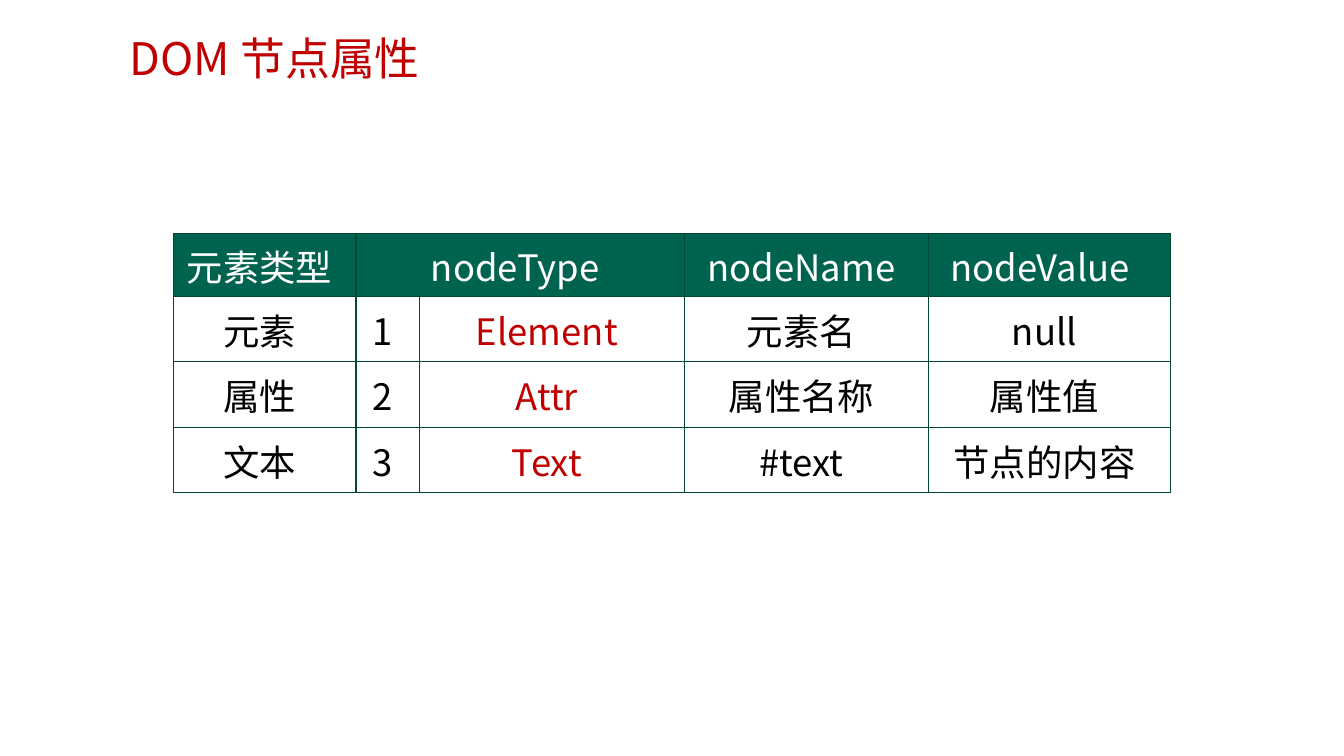
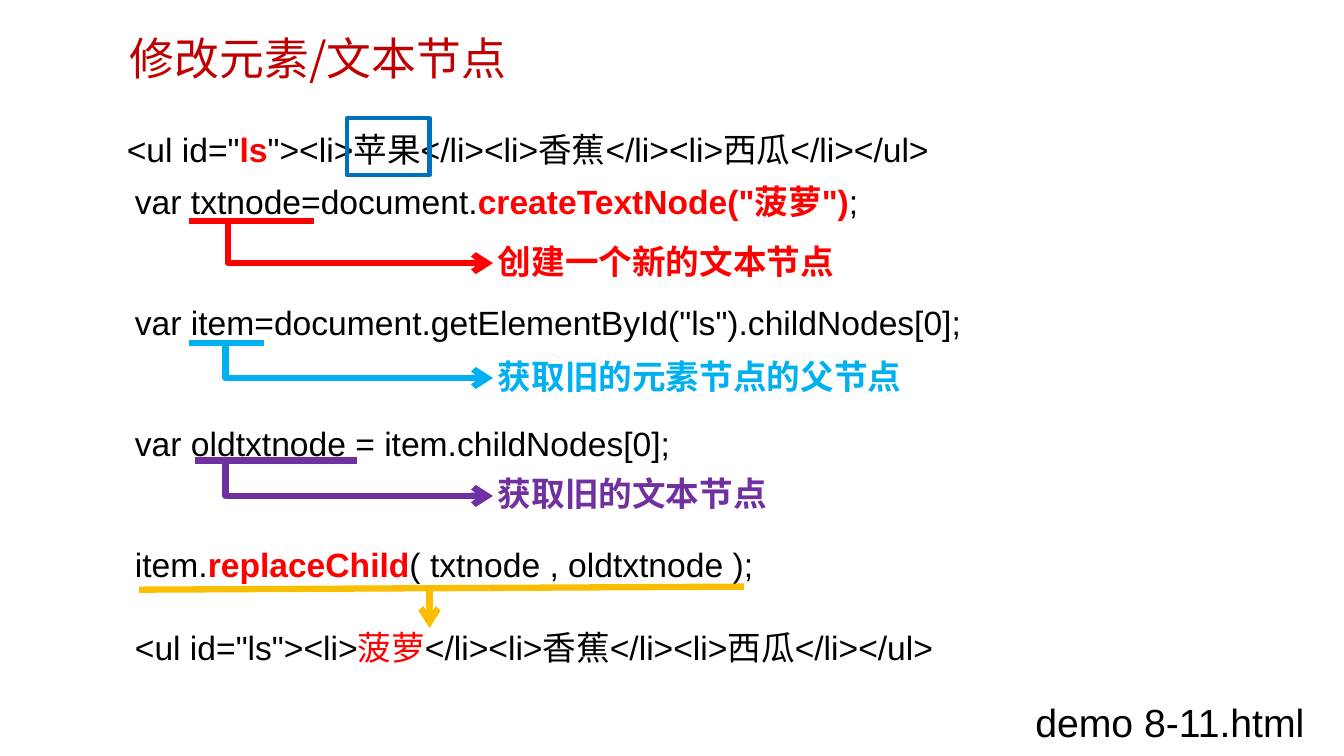
from dataclasses import dataclass
from typing import Any, NamedTuple, Optional

import lxml.etree
import pptx
import pptx.dml.color
import pptx.enum.shapes
import pptx.enum.text
import pptx.oxml.ns
import pptx.util

Inches = pptx.util.Inches
Pt = pptx.util.Pt
qn = pptx.oxml.ns.qn
CONNECTOR = pptx.enum.shapes.MSO_CONNECTOR
RECTANGLE = pptx.enum.shapes.MSO_SHAPE.RECTANGLE
CENTER = pptx.enum.text.PP_ALIGN.CENTER
MIDDLE = pptx.enum.text.MSO_ANCHOR.MIDDLE


@dataclass(frozen=True)
class Theme:
    heading: str = "C00000"
    text: str = "000000"
    white: str = "FFFFFF"
    table_header: str = "00634F"
    table_border: str = "024731"
    red: str = "FF0000"
    cyan: str = "00B0F0"
    blue: str = "0070C0"
    purple: str = "7030A0"
    yellow: str = "FABE00"
    heading_font: str = "Noto Sans CJK SC"
    code_font: str = "Arial"
    title_size: float = 32
    demo_size: float = 28
    table_size: float = 26
    code_size: float = 24
    arrow_width: float = 4.5
    frame_width: float = 3
    border_width: float = 1


THEME = Theme()


class Box(NamedTuple):
    left: float
    top: float
    width: float
    height: float


class Point(NamedTuple):
    x: float
    y: float


class Span(NamedTuple):
    text: str
    color: str = THEME.text
    bold: bool = False


class Callout(NamedTuple):
    text: str
    color: str
    underline_left: float
    underline_right: float
    underline_top: float
    arrow_top: float
    bend: float
    label_top: float


Line = list[Span]
TITLE_BOX = Box(1.19, 0.26, 8.96, 0.54)
CODE_SPACING = {"line_spacing": 1.5, "space_after": Pt(43.2)}

TABLE_BOX = Box(1.72, 2.32, 9.89, 2.57)
COLUMN_WIDTHS = [1.81, 0.63, 2.63, 2.42, 2.4]
ROW_HEIGHTS = [0.62, 0.65, 0.65, 0.65]
NODE_ROWS = [
    ["元素类型", "nodeType", "", "nodeName", "nodeValue "],
    ["元素", "1", "Element", "元素名", "null"],
    ["属性", "2", "Attr", "属性名称", "属性值"],
    ["文本", "3", "Text", "#text", "节点的内容"],
]
TYPE_NAME_COLUMN = 2

LIST_BEFORE = [
    Span('<ul id="'), Span("ls", THEME.red, True),
    Span('"><li>苹果</li><li>香蕉</li><li>西瓜</li></ul>'),
]
LIST_AFTER = [
    Span('<ul id="ls"><li>'), Span("菠萝", THEME.red),
    Span("</li><li>香蕉</li><li>西瓜</li></ul>"),
]
CODE_LINES = [
    [Span("var txtnode=document."),
     Span('createTextNode("菠萝")', THEME.red, True), Span(";")],
    [Span('var item=document.getElementById("ls").childNodes[0];')],
    [Span("var oldtxtnode = item.childNodes[0];")],
    [Span("item."), Span("replaceChild", THEME.red, True),
     Span("( txtnode , oldtxtnode );")],
]
CALLOUTS = [
    Callout("创建一个新的文本节点", THEME.red, 1.87, 3.11, 2.19, 2.61, 0.011, 2.34),
    Callout("获取旧的元素节点的父节点", THEME.cyan, 1.87, 2.62, 3.4, 3.75, 0.003, 3.48),
    Callout("获取旧的文本节点", THEME.purple, 1.93, 3.54, 4.57, 4.92, 0.003, 4.64),
]


def rgb(color: str) -> pptx.dml.color.RGBColor:
    return pptx.dml.color.RGBColor.from_string(color)


def apply_format(target: Any, values: dict[str, Any]) -> None:
    for name, value in values.items():
        setattr(target, name, value)


def lengths(box: Box) -> list[int]:
    return [Inches(value) for value in box]


def write_line(paragraph: Any, line: Line, font_name: str, size: float) -> None:
    for span in line:
        run = paragraph.add_run()
        run.text = span.text
        apply_format(run.font, {"name": font_name, "size": Pt(size), "bold": span.bold})
        run.font.color.rgb = rgb(span.color)
        if font_name == THEME.heading_font:
            properties = run._r.get_or_add_rPr()
            lxml.etree.SubElement(properties, qn("a:ea"), typeface=font_name)


def add_text(slide: Any, box: Box, lines: list[Line], font_name: str, size: float,
             spacing: Optional[dict[str, Any]] = None, wrap: bool = True) -> Any:
    shape = slide.shapes.add_textbox(*lengths(box))
    frame = shape.text_frame
    frame.word_wrap = wrap
    for index, line in enumerate(lines):
        paragraph = frame.add_paragraph() if index else frame.paragraphs[0]
        apply_format(paragraph, spacing or {})
        write_line(paragraph, line, font_name, size)
    return shape


def add_heading(slide: Any, box: Box, span: Span, size: float) -> None:
    add_text(slide, box, [[span]], THEME.heading_font, size)


def add_line(slide: Any, start: Point, end: Point, color: str, arrow: bool = False,
             bend: Optional[float] = None) -> None:
    kind = CONNECTOR.STRAIGHT if bend is None else CONNECTOR.ELBOW
    connector = slide.shapes.add_connector(
        kind, *[Inches(value) for value in (*start, *end)])
    connector.line.width = Pt(THEME.arrow_width)
    connector.line.color.rgb = rgb(color)
    properties = connector._element.spPr
    if bend is not None:
        adjustments = properties.find(qn("a:prstGeom")).get_or_add_avLst()
        lxml.etree.SubElement(adjustments, qn("a:gd"), name="adj1",
                              fmla=f"val {round(bend * 100000)}")
    if arrow:
        lxml.etree.SubElement(properties.find(qn("a:ln")), qn("a:tailEnd"), type="arrow")
    lxml.etree.SubElement(properties, qn("a:effectLst"))


def add_callout(slide: Any, callout: Callout) -> None:
    top = callout.underline_top
    add_line(slide, Point(callout.underline_left, top),
             Point(callout.underline_right, top), callout.color)
    add_line(slide, Point(2.23, top), Point(4.89, callout.arrow_top), callout.color,
             arrow=True, bend=callout.bend)
    add_heading(slide, Box(4.84, callout.label_top, 5.08, 0.54),
                Span(callout.text, callout.color, True), THEME.code_size)


def add_borders(cell: Any) -> None:
    properties = cell._tc.get_or_add_tcPr()
    for index, side in enumerate(("a:lnL", "a:lnR", "a:lnT", "a:lnB")):
        border = lxml.etree.Element(qn(side), w=str(Pt(THEME.border_width)))
        fill = lxml.etree.SubElement(border, qn("a:solidFill"))
        lxml.etree.SubElement(fill, qn("a:srgbClr"), val=THEME.table_border)
        properties.insert(index, border)


def format_cell(cell: Any, text: str, color: str, header: bool) -> None:
    margin = Inches(0.05 if header else 0.06)
    apply_format(cell, {
        "margin_left": Inches(0.06), "margin_right": Inches(0.16),
        "margin_top": margin, "margin_bottom": margin, "vertical_anchor": MIDDLE,
    })
    if header:
        cell.fill.solid()
        cell.fill.fore_color.rgb = rgb(THEME.table_header)
    else:
        cell.fill.background()
    add_borders(cell)
    if text:
        paragraph = cell.text_frame.paragraphs[0]
        paragraph.alignment = CENTER
        write_line(paragraph, [Span(text, color)], THEME.heading_font, THEME.table_size)


def add_node_table(slide: Any) -> None:
    table = slide.shapes.add_table(
        len(ROW_HEIGHTS), len(COLUMN_WIDTHS), *lengths(TABLE_BOX)).table
    apply_format(table, {"first_row": False, "horz_banding": False})
    for column, width in zip(table.columns, COLUMN_WIDTHS):
        column.width = Inches(width)
    for row, height in zip(table.rows, ROW_HEIGHTS):
        row.height = Inches(height)
    table.cell(0, 1).merge(table.cell(0, 2))
    for row_index, row in enumerate(NODE_ROWS):
        for column_index, text in enumerate(row):
            header = row_index == 0
            accent = THEME.heading if column_index == TYPE_NAME_COLUMN else THEME.text
            format_cell(table.cell(row_index, column_index), text,
                        THEME.white if header else accent, header)


def add_slide(presentation: Any, title: str) -> Any:
    slide = presentation.slides.add_slide(presentation.slide_layouts[6])
    add_heading(slide, TITLE_BOX, Span(title, THEME.heading), THEME.title_size)
    return slide


def build_properties_slide(presentation: Any) -> None:
    add_node_table(add_slide(presentation, "DOM 节点属性"))


def build_modify_slide(presentation: Any) -> None:
    slide = add_slide(presentation, "修改元素/文本节点")
    add_text(slide, Box(1.16, 1.23, 9.6, 0.5), [LIST_BEFORE],
             THEME.code_font, THEME.code_size)
    add_text(slide, Box(1.24, 1.55, 9.76, 4.34), CODE_LINES, THEME.code_font,
             THEME.code_size, CODE_SPACING)
    result = add_text(slide, Box(1.24, 6.17, 10.16, 0.5), [LIST_AFTER],
                      THEME.code_font, THEME.code_size)
    result.fill.solid()
    result.fill.fore_color.rgb = rgb(THEME.white)

    frame = slide.shapes.add_shape(RECTANGLE, *lengths(Box(3.44, 1.17, 0.82, 0.57)))
    frame.shadow.inherit = False
    frame.fill.background()
    frame.line.color.rgb = rgb(THEME.blue)
    frame.line.width = Pt(THEME.frame_width)

    for callout in CALLOUTS:
        add_callout(slide, callout)
    add_line(slide, Point(1.38, 5.85), Point(7.38, 5.82), THEME.yellow)
    add_line(slide, Point(4.26, 5.82), Point(4.26, 6.23), THEME.yellow, arrow=True)
    add_text(slide, Box(10.17, 6.88, 2.87, 0.57), [[Span("demo 8-11.html")]],
             THEME.code_font, THEME.demo_size, wrap=False)


def main() -> None:
    presentation = pptx.Presentation()
    apply_format(presentation, {"slide_width": Inches(13.33), "slide_height": Inches(7.5)})
    build_properties_slide(presentation)
    build_modify_slide(presentation)
    presentation.save("out.pptx")


main()
